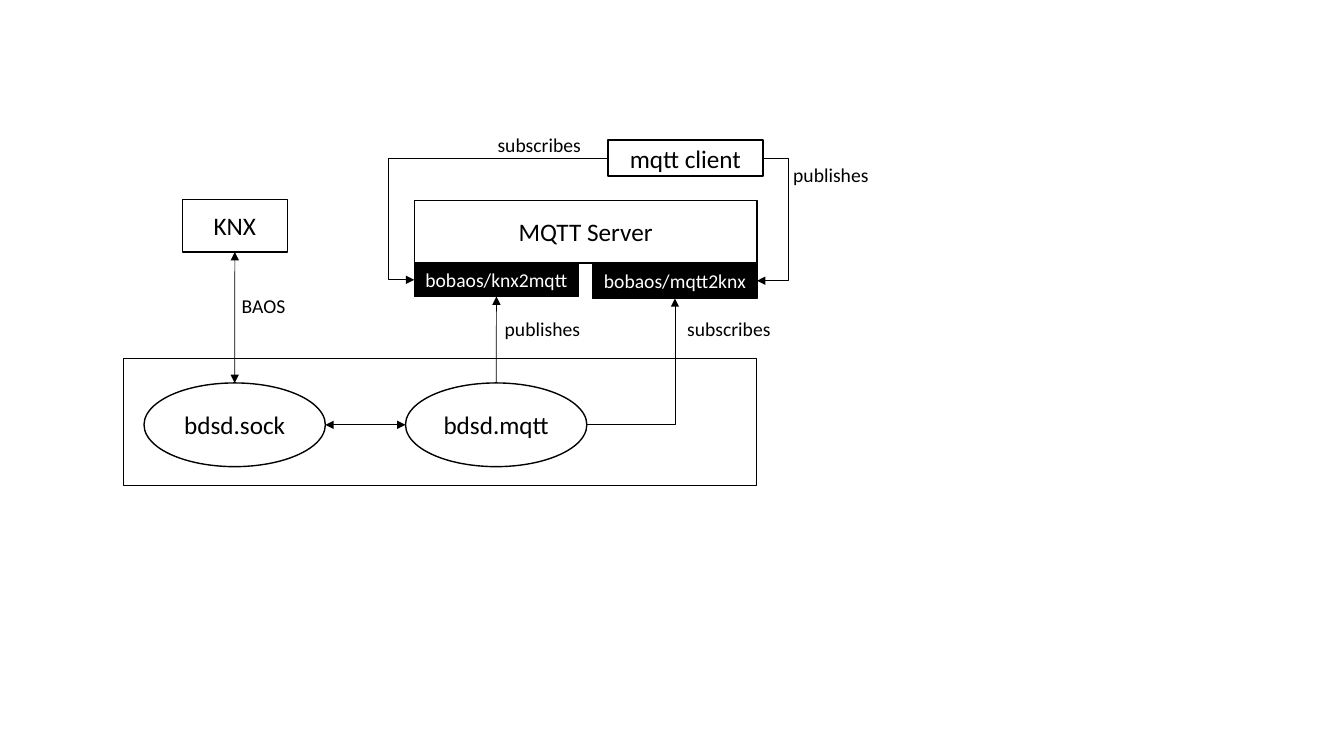
from dataclasses import dataclass
from typing import Any, Optional

from lxml.etree import SubElement
from pptx import Presentation
from pptx.dml.color import RGBColor
from pptx.enum.shapes import MSO_CONNECTOR, MSO_SHAPE
from pptx.enum.text import MSO_ANCHOR, MSO_AUTO_SIZE, PP_ALIGN
from pptx.oxml.ns import qn
from pptx.util import Cm, Pt

BLACK = RGBColor(0x00, 0x00, 0x00)
WHITE = RGBColor(0xFF, 0xFF, 0xFF)
RECT, OVAL = MSO_SHAPE.RECTANGLE, MSO_SHAPE.OVAL

# Connection sites, counted anticlockwise from the top
TOP, LEFT, BOTTOM, RIGHT = range(4)

BOX_FRAME = {"vertical_anchor": MSO_ANCHOR.MIDDLE, "word_wrap": True}
LABEL_FRAME = {"word_wrap": False, "auto_size": MSO_AUTO_SIZE.SHAPE_TO_FIT_TEXT}


@dataclass
class Box:
    key: str
    text: str
    x: float
    y: float
    w: float
    h: float
    form: Any = RECT
    fill: RGBColor = WHITE
    ink: RGBColor = BLACK
    size: int = 18


@dataclass
class Link:
    start: str
    out: int
    end: str
    into: int
    both: bool = False
    bent: bool = False
    via: Optional[float] = None  # x of the upright part of a three-part bend


@dataclass
class Label:
    text: str
    x: float
    y: float
    w: float


TOPIC = {"fill": BLACK, "ink": WHITE, "size": 14}
BOXES = [
    Box("host", "", 3.12, 9.04, 15.95, 3.2),
    Box("knx", "KNX", 4.6, 5.03, 2.64, 1.32),
    Box("sock", "bdsd.sock", 3.63, 9.65, 4.57, 2.11, OVAL),
    Box("mqtt", "bdsd.mqtt", 10.22, 9.65, 4.57, 2.11, OVAL),
    Box("server", "MQTT Server", 10.44, 5.05, 8.64, 1.58),
    Box("from_knx", "bobaos/knx2mqtt", 10.44, 6.63, 4.14, 0.84, **TOPIC),
    Box("to_knx", "bobaos/mqtt2knx", 14.94, 6.63, 4.14, 0.89, **TOPIC),
    Box("client", "mqtt client", 15.32, 3.53, 3.91, 0.91),
]
LINKS = [
    Link("knx", BOTTOM, "sock", TOP, both=True),
    Link("mqtt", LEFT, "sock", RIGHT, both=True),
    Link("mqtt", TOP, "from_knx", BOTTOM),
    Link("mqtt", RIGHT, "to_knx", BOTTOM, bent=True),
    Link("client", RIGHT, "to_knx", RIGHT, bent=True, via=19.86),
    Link("client", LEFT, "from_knx", LEFT, bent=True, via=9.8),
]
LABELS = [
    Label("subscribes", 17.07, 7.85, 2.64),
    Label("publishes", 12.47, 7.85, 2.44),
    Label("BAOS", 5.84, 7.29, 1.63),
    Label("publishes", 19.74, 3.99, 2.44),
    Label("subscribes", 12.29, 3.23, 2.64),
]


def assign(target: Any, values: dict) -> None:
    for name, value in values.items():
        setattr(target, name, value)


def write(frame: Any, text: str, size: int, ink: RGBColor, align: Any) -> None:
    par = frame.paragraphs[0]
    par.alignment = align
    run = par.add_run()
    run.text = text
    assign(run.font, {"name": "Calibri", "size": Pt(size)})
    run.font.color.rgb = ink


def draw_box(shapes: Any, box: Box) -> Any:
    shape = shapes.add_shape(box.form, Cm(box.x), Cm(box.y), Cm(box.w), Cm(box.h))
    shape.shadow.inherit = False
    shape.fill.solid()
    shape.fill.fore_color.rgb = box.fill
    shape.line.color.rgb = BLACK
    shape.line.width = Pt(1)
    assign(shape.text_frame, BOX_FRAME)
    if box.text:
        write(shape.text_frame, box.text, box.size, box.ink, PP_ALIGN.CENTER)
    return shape


def draw_link(shapes: Any, link: Link, drawn: dict) -> None:
    kind = MSO_CONNECTOR.ELBOW if link.bent else MSO_CONNECTOR.STRAIGHT
    line = shapes.add_connector(kind, 0, 0, 0, 0)
    line.begin_connect(drawn[link.start], link.out)
    line.end_connect(drawn[link.end], link.into)
    line.line.color.rgb = BLACK
    line.line.width = Pt(0.5)
    props = line._element.spPr

    # An oval has a further site between each two sides
    for key, side, tag in ((link.start, link.out, "a:stCxn"), (link.end, link.into, "a:endCxn")):
        if drawn[key].auto_shape_type == OVAL:
            next(line._element.iter(qn(tag))).set("idx", str(side * 2))

    # Bend
    geom = props.find(qn("a:prstGeom"))
    if link.via is not None:
        ratio = (Cm(link.via) - line.begin_x) / (line.end_x - line.begin_x)
        guides = geom.find(qn("a:avLst"))
        SubElement(guides, qn("a:gd"), name="adj1", fmla=f"val {round(ratio * 100000)}")
    elif link.bent:
        geom.set("prst", "bentConnector2")

    # Arrowheads, and no shadow
    stroke = props.find(qn("a:ln"))
    for tag in ("a:headEnd", "a:tailEnd") if link.both else ("a:tailEnd",):
        SubElement(stroke, qn(tag), type="triangle")
    SubElement(props, qn("a:effectLst"))


def draw_label(shapes: Any, label: Label) -> None:
    text = shapes.add_textbox(Cm(label.x), Cm(label.y), Cm(label.w), Cm(0.86))
    assign(text.text_frame, LABEL_FRAME)
    write(text.text_frame, label.text, 14, BLACK, PP_ALIGN.LEFT)


def main() -> None:
    deck = Presentation()
    assign(deck, {"slide_width": Cm(33.87), "slide_height": Cm(19.05)})
    shapes = deck.slides.add_slide(deck.slide_layouts[6]).shapes

    drawn = {box.key: draw_box(shapes, box) for box in BOXES}
    for link in LINKS:
        draw_link(shapes, link, drawn)
    for label in LABELS:
        draw_label(shapes, label)
    deck.save("out.pptx")


if __name__ == "__main__":
    main()
